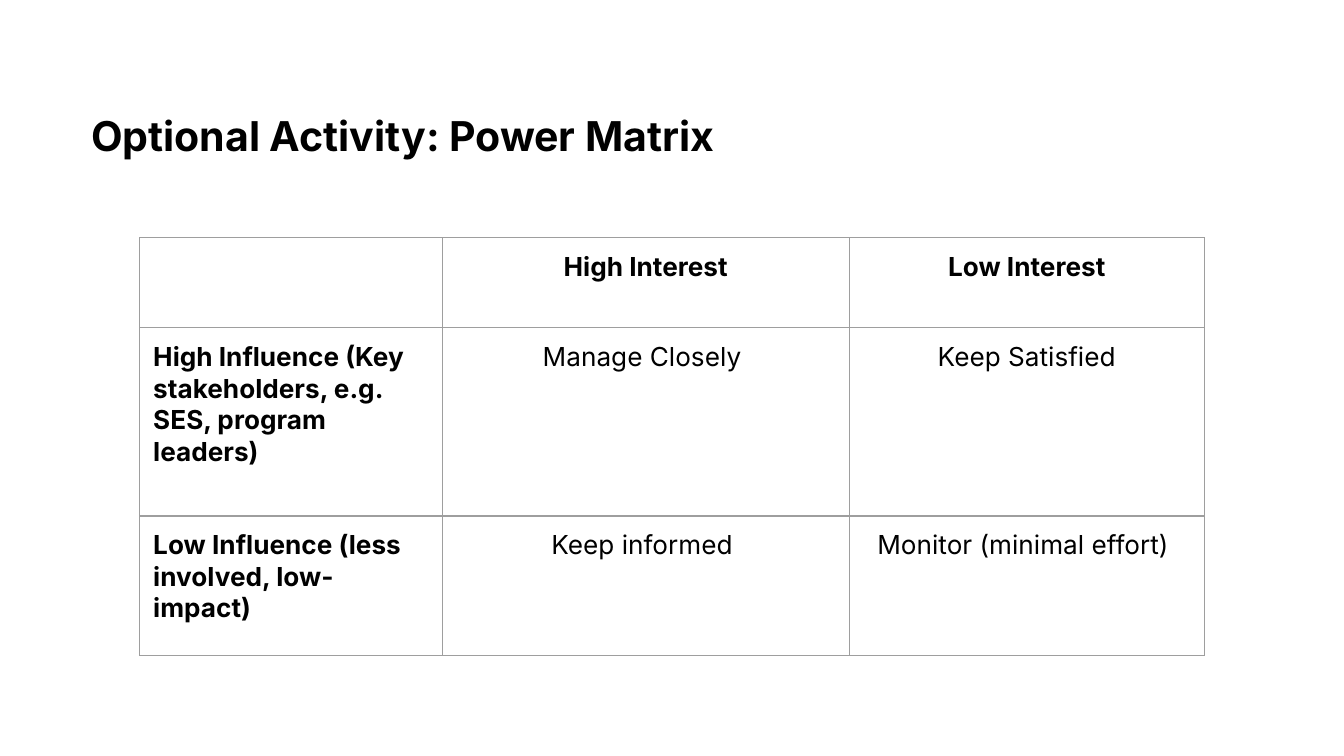
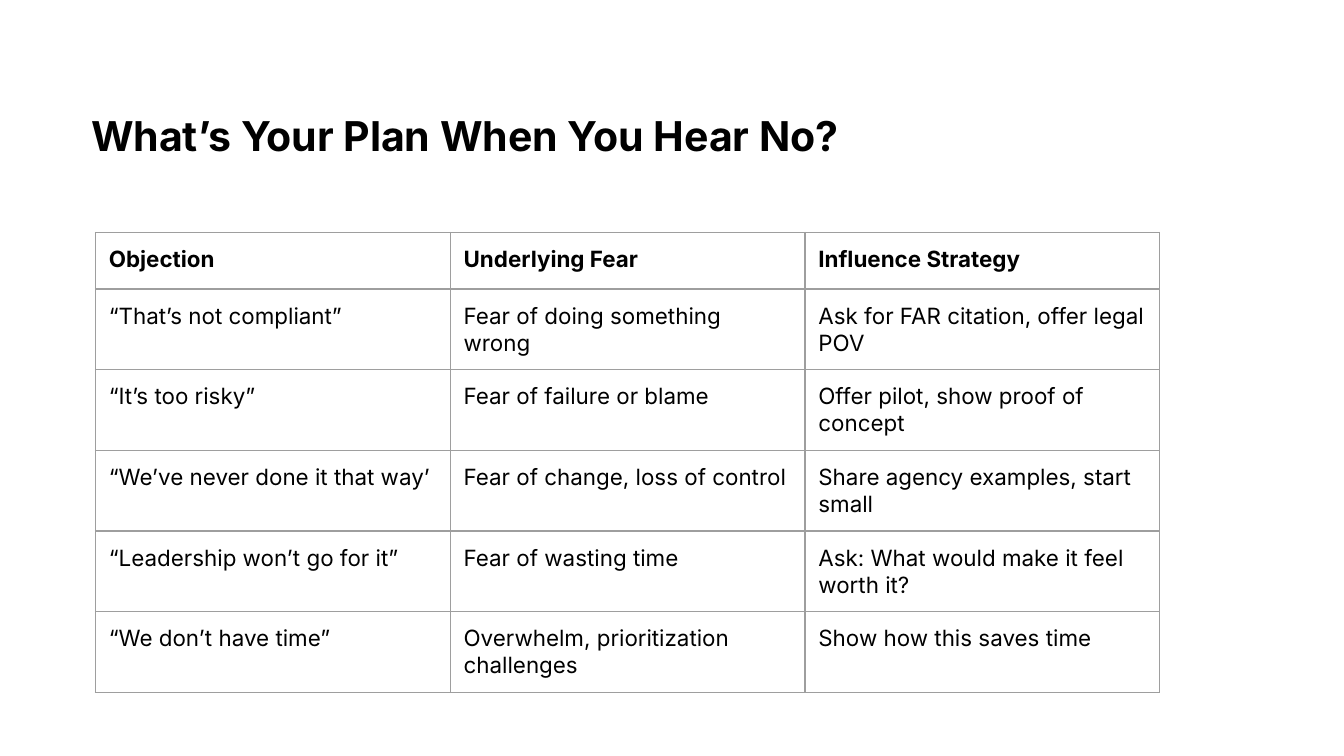
from dataclasses import dataclass

from lxml.etree import SubElement
from pptx import Presentation
from pptx.dml.color import RGBColor
from pptx.enum.text import MSO_ANCHOR, PP_ALIGN
from pptx.oxml import parse_xml
from pptx.oxml.ns import nsdecls, qn
from pptx.presentation import Presentation as Deck
from pptx.slide import Slide
from pptx.table import _Cell as Cell
from pptx.text.text import _Paragraph as Paragraph
from pptx.util import Inches, Length, Pt

# Shared look
FONT = "Inter"
INK = "000000"
PAPER = "FFFFFF"
RULE = "9E9E9E"
RULE_WIDTH = Pt(0.75)
TITLE_SIZE = 22
SLIDE_WIDTH, SLIDE_HEIGHT = Inches(10), Inches(5.625)
GRID_COLUMNS = 100  # square grid across the slide width
CELL_INSET = 1


@dataclass(frozen=True)
class Box:
    left: float
    top: float
    width: float
    height: float


@dataclass(frozen=True)
class MatrixSlide:
    title: str
    left: float
    top: float
    columns: tuple[float, ...]
    rows: tuple[float, ...]
    size: int
    bold_labels: bool
    centred_values: bool
    entries: tuple[tuple[str, ...], ...]


TITLE_BOX = Box(5.8, 6.7, 82.1, 6)

SLIDES = (
    MatrixSlide(
        title="Optional Activity: Power Matrix",
        left=10.4, top=17.7,
        columns=(22.5, 30.3, 26.4), rows=(6.7, 14, 10.4),
        size=14, bold_labels=True, centred_values=True,
        entries=(
            ("", "High Interest", "Low Interest"),
            ("High Influence (Key stakeholders, e.g. SES, program leaders)",
             "Manage Closely ", "Keep Satisfied"),
            ("Low Influence (less involved, low-impact)",
             "Keep informed ", "Monitor (minimal effort) "),
        ),
    ),
    MatrixSlide(
        title="What’s Your Plan When You Hear No?",
        left=7.1, top=17.3,
        columns=(26.4,) * 3, rows=(4.2,) * 6,
        size=12, bold_labels=False, centred_values=False,
        entries=(
            ("Objection", "Underlying Fear", "Influence Strategy"),
            ("“That’s not compliant”", "Fear of doing something wrong",
             "Ask for FAR citation, offer legal POV"),
            ("“It’s too risky”", "Fear of failure or blame",
             "Offer pilot, show proof of concept"),
            ("“We’ve never done it that way’", "Fear of change, loss of control",
             "Share agency examples, start small"),
            ("“Leadership won’t go for it”", "Fear of wasting time",
             "Ask: What would make it feel worth it?"),
            ("“We don’t have time”", "Overwhelm, prioritization challenges",
             "Show how this saves time"),
        ),
    ),
)


def grid(units: float) -> Length:
    return Length(round(SLIDE_WIDTH * units / GRID_COLUMNS))


def color(hex_code: str) -> RGBColor:
    return RGBColor.from_string(hex_code)


def style_runs(paragraph: Paragraph, size: int, bold: bool) -> None:
    for run in paragraph.runs:
        run.font.name = FONT
        run.font.size = Pt(size)
        run.font.bold = bold
        run.font.color.rgb = color(INK)


def draw_title(slide: Slide, title: str) -> None:
    box = TITLE_BOX
    heading = slide.shapes.add_textbox(
        grid(box.left), grid(box.top), grid(box.width), grid(box.height))
    frame = heading.text_frame
    frame.word_wrap = True
    frame.vertical_anchor = MSO_ANCHOR.MIDDLE
    frame.text = title
    frame.paragraphs[0].line_spacing = 1.2
    style_runs(frame.paragraphs[0], TITLE_SIZE, True)


def rule_cell(cell: Cell) -> None:
    """Draw a thin line on all four sides of the cell."""
    properties = cell._tc.get_or_add_tcPr()
    for position, side in enumerate(("lnL", "lnR", "lnT", "lnB")):
        line = parse_xml(f'<a:{side} {nsdecls("a")} w="{RULE_WIDTH}"/>')
        fill = SubElement(line, qn("a:solidFill"))
        SubElement(fill, qn("a:srgbClr"), val=RULE)
        properties.insert(position, line)


def draw_matrix(slide: Slide, matrix: MatrixSlide) -> None:
    table = slide.shapes.add_table(
        len(matrix.rows), len(matrix.columns), grid(matrix.left), grid(matrix.top),
        grid(sum(matrix.columns)), grid(sum(matrix.rows))).table
    table.first_row = table.horz_banding = False
    for column, width in zip(table.columns, matrix.columns):
        column.width = grid(width)
    for row, height in zip(table.rows, matrix.rows):
        row.height = grid(height)

    for row_index, entries in enumerate(matrix.entries):
        for column_index, entry in enumerate(entries):
            cell = table.cell(row_index, column_index)
            cell.fill.background()
            rule_cell(cell)
            cell.margin_left = cell.margin_right = grid(CELL_INSET)
            cell.margin_top = cell.margin_bottom = grid(CELL_INSET)
            cell.text_frame.text = entry
            is_label = column_index == 0
            paragraph = cell.text_frame.paragraphs[0]
            if matrix.centred_values and not is_label:
                paragraph.alignment = PP_ALIGN.CENTER
            bold = row_index == 0 or (matrix.bold_labels and is_label)
            style_runs(paragraph, matrix.size, bold)


def add_matrix_slide(deck: Deck, matrix: MatrixSlide) -> None:
    slide = deck.slides.add_slide(deck.slide_layouts[6])
    slide.background.fill.solid()
    slide.background.fill.fore_color.rgb = color(PAPER)
    draw_title(slide, matrix.title)
    draw_matrix(slide, matrix)


def main() -> None:
    deck = Presentation()
    deck.slide_width, deck.slide_height = SLIDE_WIDTH, SLIDE_HEIGHT
    for matrix in SLIDES:
        add_matrix_slide(deck, matrix)
    deck.save("out.pptx")


if __name__ == "__main__":
    main()
